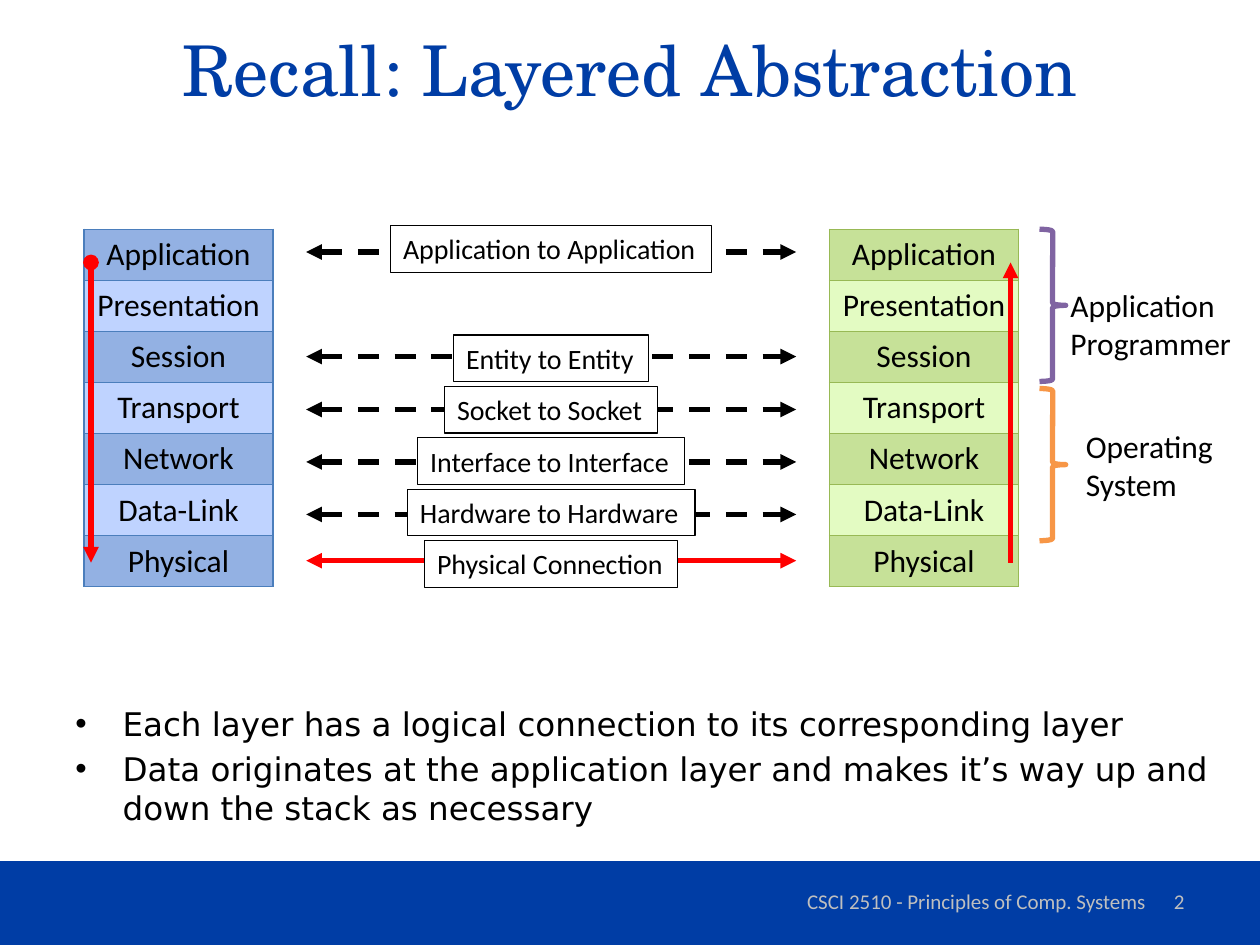
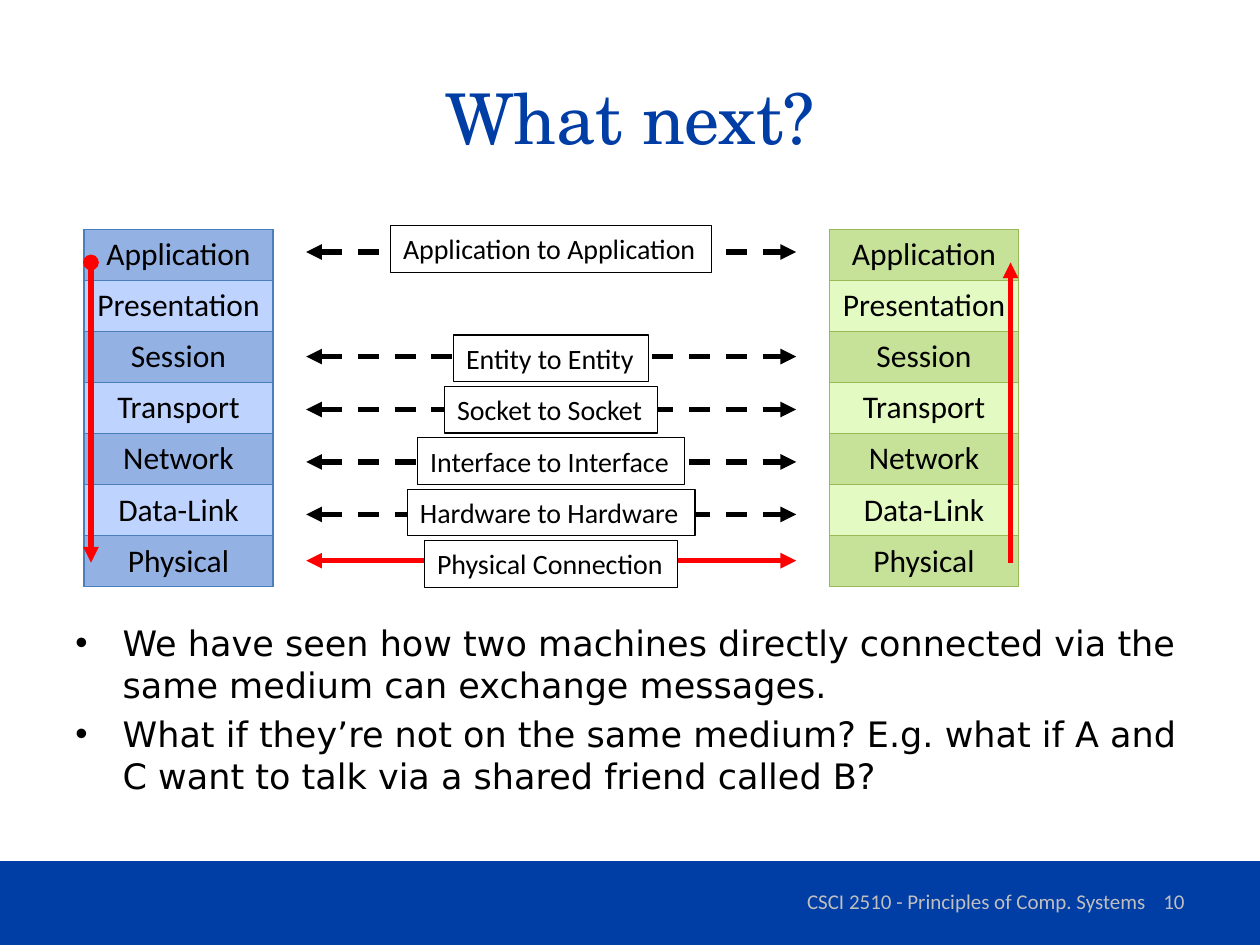
from lxml import etree
from pptx import Presentation
from pptx import util as u
from pptx.dml.color import RGBColor
from pptx.enum import dml, shapes, text
from pptx.oxml import ns

BLUE, GREY, BLACK, WHITE, RED = "003DA5", "BFBFBF", "000000", "FFFFFF", "FF0000"
PURPLE, ORANGE = "8064A2", "F79646"
LAYERS = ["Application", "Presentation", "Session", "Transport",
          "Network", "Data-Link", "Physical"]
LEFT_STACK = ("93B1E3", "BFD3FF", "4B7EBC")
RIGHT_STACK = ("C6E198", "E3FBC2", "98B955")
STACK_TOP, ROW_H, STACK_W = 131, 29.2, 108
LABEL_MID, LABEL_H, LABEL_STEP = 315, 26.65, 29.4
PEERS = [("Entity to Entity", 111.6, 203.75),
         ("Socket to Socket", 121.7, 234),
         ("Interface to Interface", 152.6, 264),
         ("Hardware to Hardware", 164.2, 294),
         ("Physical Connection", 144.7, 320.4)]


def color(value):
    """Turn a hex string into a colour."""
    return RGBColor.from_string(value)


def child(parent, tag, **attrs):
    """Append a DrawingML element and return it."""
    return etree.SubElement(parent, ns.qn(tag), **attrs)


class Deck:
    """Holds the presentation style and the current slide."""

    def __init__(self):
        """Start an empty 10 by 7.5 inch presentation."""
        self.prs = Presentation()
        self.prs.slide_width, self.prs.slide_height = u.Pt(720), u.Pt(540)
        self.s = None

    def slide(self, title, title_top, number):
        """Add a slide with its title, band and footer."""
        self.s = self.prs.slides.add_slide(self.prs.slide_layouts[6])
        self.shape("RECTANGLE", 0, 492, 720, 48, fill=BLUE)
        self.text(title, 36, title_top, 648, 90, 40, BLUE, "TeX Gyre Schola", "CENTER", "MIDDLE")
        self.text("CSCI 2510 - Principles of Comp. Systems", 444, 500.4, 228, 28.8,
                  12, GREY, align="CENTER", anchor="MIDDLE")
        self.text(number, 516, 500.4, 168, 28.8, 12, GREY, align="RIGHT", anchor="MIDDLE")

    def style(self, p, size, hue, font="Calibri", align="LEFT"):
        """Format a paragraph and its runs."""
        p.alignment = getattr(text.PP_ALIGN, align)
        for r in p.runs:
            r.font.size, r.font.name = u.Pt(size), font
            r.font.color.rgb = color(hue)

    def text(self, words, x, y, w, h, size, hue=BLACK, font="Calibri",
             align="LEFT", anchor="TOP", wrap=True):
        """Add a text box."""
        sp = self.s.shapes.add_textbox(u.Pt(x), u.Pt(y), u.Pt(w), u.Pt(h))
        tf = sp.text_frame
        tf.word_wrap = wrap
        tf.vertical_anchor = getattr(text.MSO_ANCHOR, anchor)
        tf.paragraphs[0].text = words
        self.style(tf.paragraphs[0], size, hue, font, align)
        return sp

    def shape(self, kind, x, y, w, h, fill=None, line=None, weight=0.75):
        """Add a preset shape."""
        sp = self.s.shapes.add_shape(getattr(shapes.MSO_SHAPE, kind),
                                     u.Pt(x), u.Pt(y), u.Pt(w), u.Pt(h))
        sp.shadow.inherit = False
        for part, hue in ((sp.fill, fill), (sp.line.fill, line)):
            if hue:
                part.solid()
                part.fore_color.rgb = color(hue)
            else:
                part.background()
        if line:
            sp.line.width = u.Pt(weight)
        return sp

    def label(self, words, y, w):
        """Add a white outlined label centred between the stacks."""
        sp = self.shape("RECTANGLE", LABEL_MID - w / 2, y, w, LABEL_H, WHITE, BLACK)
        tf = sp.text_frame
        tf.text = words
        tf.word_wrap = False
        tf.vertical_anchor = text.MSO_ANCHOR.TOP
        self.style(tf.paragraphs[0], 16, BLACK)

    def arrow(self, x1, y1, x2, y2, hue, head="triangle", dashed=False):
        """Add a thick line that ends in a triangle."""
        cx = self.s.shapes.add_connector(shapes.MSO_CONNECTOR.STRAIGHT,
                                         u.Pt(x1), u.Pt(y1), u.Pt(x2), u.Pt(y2))
        cx.line.width = u.Pt(3)
        cx.line.color.rgb = color(hue)
        if dashed:
            cx.line.dash_style = dml.MSO_LINE.DASH
        ln = cx.line._get_or_add_ln()
        child(ln, "a:headEnd", type=head)
        child(ln, "a:tailEnd", type="triangle")
        child(cx._element.spPr, "a:effectLst")

    def stack(self, x, dark, light, border):
        """Add the table of network layers."""
        tbl = self.s.shapes.add_table(len(LAYERS), 1, u.Pt(x), u.Pt(STACK_TOP), u.Pt(STACK_W),
                                      u.Pt(ROW_H * len(LAYERS))).table
        tbl.first_row = tbl.horz_banding = False
        for i, layer in enumerate(LAYERS):
            tbl.rows[i].height = u.Pt(ROW_H)
            cell = tbl.cell(i, 0)
            cell.text = layer
            self.style(cell.text_frame.paragraphs[0], 18, BLACK, align="CENTER")
            for side in "LRTB":
                ln = child(cell._tc.get_or_add_tcPr(), "a:ln" + side, w=str(u.Pt(0.75)))
                child(child(ln, "a:solidFill"), "a:srgbClr", val=border)
            cell.fill.solid()
            cell.fill.fore_color.rgb = color(light if i % 2 else dark)

    def bullets(self, items, y, w, h, size):
        """Add a bulleted list."""
        tf = self.text(items[0], 36, y, w, h, size).text_frame
        for i, item in enumerate(items):
            p = tf.paragraphs[0] if i == 0 else tf.add_paragraph()
            p.text = item
            pPr = p._p.get_or_add_pPr()
            pPr.set("marL", str(u.Pt(27)))
            pPr.set("indent", str(u.Pt(-27)))
            child(pPr, "a:buFont", typeface="Arial")
            child(pPr, "a:buChar", char="•")
            if i:
                p.space_before = u.Pt(size / 5)
            self.style(p, size, BLACK, "DejaVu Sans")

    def diagram(self):
        """Draw both stacks and the connections between their layers."""
        self.stack(48, *LEFT_STACK)
        self.stack(474, *RIGHT_STACK)
        self.arrow(52, 150, 52, 321.5, RED, head="oval")
        self.arrow(577.5, 321.5, 577.5, 150, RED, head="none")
        self.arrow(175, 144, 455, 144, BLACK, dashed=True)
        self.label("Application to Application", 129, 183.6)
        for i, (words, w, y) in enumerate(PEERS):
            physical = words.startswith("Physical")
            self.arrow(175, y, 455, y, RED if physical else BLACK, dashed=not physical)
            self.label(words, 191.4 + i * LABEL_STEP, w)

    def role(self, words, brace_top, hue, x, y, w):
        """Add a brace over some layers and name who handles them."""
        self.shape("RIGHT_BRACE", 594, brace_top, 15, 87, line=hue, weight=3)
        self.text(words, x, y, w, 51, 18, wrap=False)


def main():
    """Build both slides and save them."""
    deck = Deck()
    deck.slide("Recall: Layered Abstraction", -5.8, "2")
    deck.bullets(["Each layer has a logical connection to its corresponding layer",
                  "Data originates at the application layer and makes it’s way up and "
                  "down the stack as necessary"], 398.5, 663, 75, 18.6)
    deck.diagram()
    deck.role("Application\vProgrammer", 131, PURPLE, 604.6, 160, 107)
    deck.role("Operating\vSystem", 222, ORANGE, 613.4, 240.3, 88)

    deck.slide("What next?", 21.6, "10")
    deck.bullets(["We have seen how two machines directly connected via the same medium "
                  "can exchange messages.",
                  "What if they’re not on the same medium? E.g. what if A and C want to "
                  "talk via a shared friend called B?"], 351.5, 648, 110, 20)
    deck.diagram()
    deck.prs.save("out.pptx")


if __name__ == "__main__":
    main()
